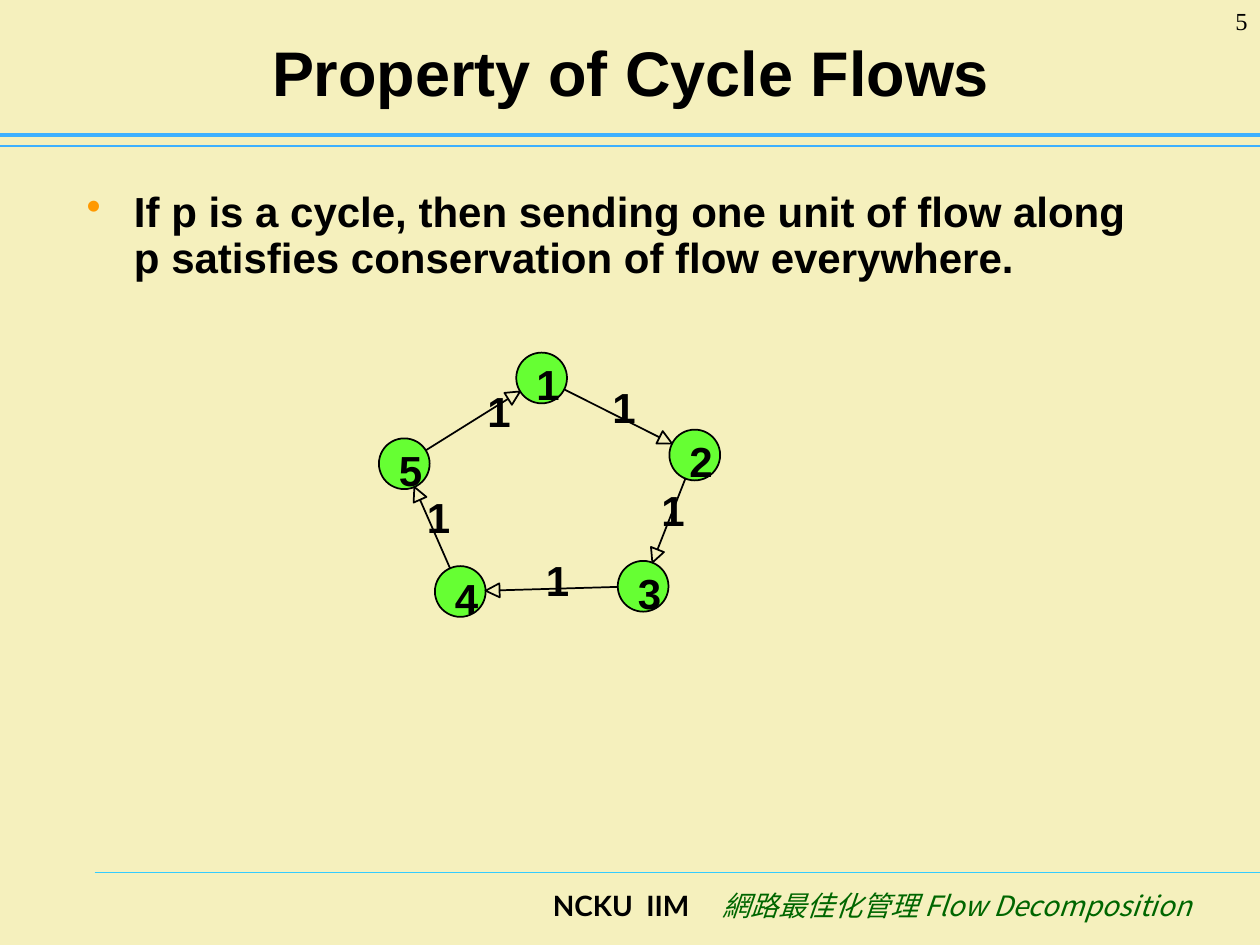
from dataclasses import dataclass
from math import hypot

from lxml.etree import SubElement
from pptx import Presentation
from pptx.dml.color import RGBColor as RGB
from pptx.enum.shapes import MSO_CONNECTOR as LINE, MSO_SHAPE as SHAPE
from pptx.enum.text import MSO_ANCHOR as ANCHOR, PP_ALIGN as ALIGN
from pptx.oxml.ns import qn
from pptx.util import Pt


@dataclass(frozen=True)
class Theme:
    paper: str = "F5F0BD"
    ink: str = "000000"
    rule: str = "3DB0FF"
    footer_rule: str = "33CCFF"
    topic: str = "006600"
    bullet: str = "FF9900"
    node: str = "66FF33"
    title_size: int = 36
    body_size: int = 24
    footer_size: int = 16
    page_size: int = 14
    main_font: str = "Arial"
    page_font: str = "Times New Roman"
    footer_font: str = "Lato"
    topic_font: str = "Noto Sans CJK SC"


THEME = Theme()
RADIUS = 14.5

# Top left corner of each node, in cycle order
NODES = [(295, 201.5), (382.5, 245.5), (353, 320.5), (248.5, 323.5), (216.5, 250.5)]
# Top left corner of the flow on the arc that leaves each node
FLOWS = [(350, 218), (378, 277), (312, 317), (244, 281), (278.5, 220.5)]


def set_font(font, size, face=THEME.main_font, color=THEME.ink, bold=True, italic=False):
    font.size, font.name = Pt(size), face
    font.bold, font.italic = bold, italic
    font.color.rgb = RGB.from_string(color)


def add_text(slide, text, box, size=THEME.body_size, align=ALIGN.LEFT,
             anchor=ANCHOR.TOP, insets=(7.2, 3.6, 7.2, 3.6), wrap=True, **style):
    frame = slide.shapes.add_textbox(*map(Pt, box)).text_frame
    frame.word_wrap, frame.vertical_anchor = wrap, anchor
    (frame.margin_left, frame.margin_top,
     frame.margin_right, frame.margin_bottom) = map(Pt, insets)
    paragraph = frame.paragraphs[0]
    paragraph.alignment = align
    run = paragraph.add_run()
    run.text = text
    set_font(run.font, size, **style)
    return paragraph


def add_rule(slide, left, y, color, width=0.75):
    rule = slide.shapes.add_connector(LINE.STRAIGHT, Pt(left), Pt(y), Pt(720), Pt(y))
    rule.line.color.rgb = RGB.from_string(color)
    rule.line.width = Pt(width)
    SubElement(rule._element.spPr, qn("a:effectLst"))


def outline(shape):
    shape.shadow.inherit = False
    shape.line.color.rgb = RGB.from_string(THEME.ink)
    shape.line.width = Pt(1)


def add_digit(slide, digit, left, top):
    add_text(slide, digit, (left, top, 13.5, 29), insets=(0, 0, 0, 0), wrap=False)


def add_node(slide, number, left, top):
    node = slide.shapes.add_shape(SHAPE.OVAL, *map(Pt, (left, top, 2 * RADIUS, 2 * RADIUS)))
    node.fill.solid()
    node.fill.fore_color.rgb = RGB.from_string(THEME.node)
    outline(node)
    add_digit(slide, str(number), left + 11.5, top + 3.5)


def add_arc(slide, source, target, head=8, half_width=4):
    """Draw a shaft with an open triangular head between two node rims."""
    (x1, y1), (x2, y2) = [(x + RADIUS, y + RADIUS) for x, y in (source, target)]
    length = hypot(x2 - x1, y2 - y1)
    ux, uy = (x2 - x1) / length, (y2 - y1) / length

    def point(along, across=0):
        return Pt(x1 + along * ux - across * uy), Pt(y1 + along * uy + across * ux)

    tip = length - RADIUS
    neck = point(tip - head)
    builder = slide.shapes.build_freeform(*point(RADIUS))
    builder.add_line_segments([neck, point(tip - head, half_width), point(tip),
                               point(tip - head, -half_width), neck], close=True)
    arc = builder.convert_to_shape()
    arc.fill.background()
    outline(arc)


def add_bullet(paragraph):
    props = paragraph._p.get_or_add_pPr()
    props.set("marL", str(Pt(27)))
    props.set("indent", str(Pt(-27)))
    color = SubElement(props, qn("a:buClr"))
    SubElement(color, qn("a:srgbClr")).set("val", THEME.bullet)
    SubElement(props, qn("a:buChar")).set("char", "•")


def add_footer(slide):
    add_rule(slide, 54, 498.5, THEME.footer_rule)
    footer = add_text(slide, "NCKU  IIM\t", (132, 504, 560, 36), size=THEME.footer_size,
                      insets=(184, 3.6, 0, 3.6), face=THEME.footer_font)
    tabs = SubElement(footer._p.get_or_add_pPr(), qn("a:tabLst"))
    tab = SubElement(tabs, qn("a:tab"))
    tab.set("pos", str(Pt(97)))
    tab.set("algn", "l")
    topic = footer.add_run()
    topic.text = "網路最佳化管理 Flow Decomposition"
    set_font(topic.font, THEME.footer_size, THEME.topic_font, THEME.topic,
             bold=False, italic=True)
    SubElement(topic._r.get_or_add_rPr(), qn("a:ea")).set("typeface", THEME.topic_font)


def add_cycle(slide):
    for number, corner in enumerate(NODES, 1):
        add_node(slide, number, *corner)
    for source, target, flow in zip(NODES, NODES[1:] + NODES[:1], FLOWS):
        add_arc(slide, source, target)
        add_digit(slide, "1", *flow)


def main():
    deck = Presentation()
    deck.slide_width, deck.slide_height = Pt(720), Pt(540)
    slide = deck.slides.add_slide(deck.slide_layouts[6])
    slide.background.fill.solid()
    slide.background.fill.fore_color.rgb = RGB.from_string(THEME.paper)

    # Frame
    add_footer(slide)
    add_rule(slide, 0, 83.5, THEME.rule)
    add_rule(slide, 0, 77, THEME.rule, width=2.5)

    # Title and statement
    add_text(slide, "Property of Cycle Flows", (36.5, 9.5, 648, 62.5),
             size=THEME.title_size, align=ALIGN.CENTER, anchor=ANCHOR.MIDDLE)
    statement = add_text(
        slide, "If p is a cycle, then sending one unit of flow along "
        "p satisfies conservation of flow everywhere.", (42.5, 106, 618, 60))
    statement.line_spacing = 0.9
    add_bullet(statement)

    # Cycle and page number
    add_cycle(slide)
    add_text(slide, "5", (660, 0, 60, 36), size=THEME.page_size, align=ALIGN.RIGHT,
             face=THEME.page_font, bold=False)

    deck.save("out.pptx")


if __name__ == "__main__":
    main()
